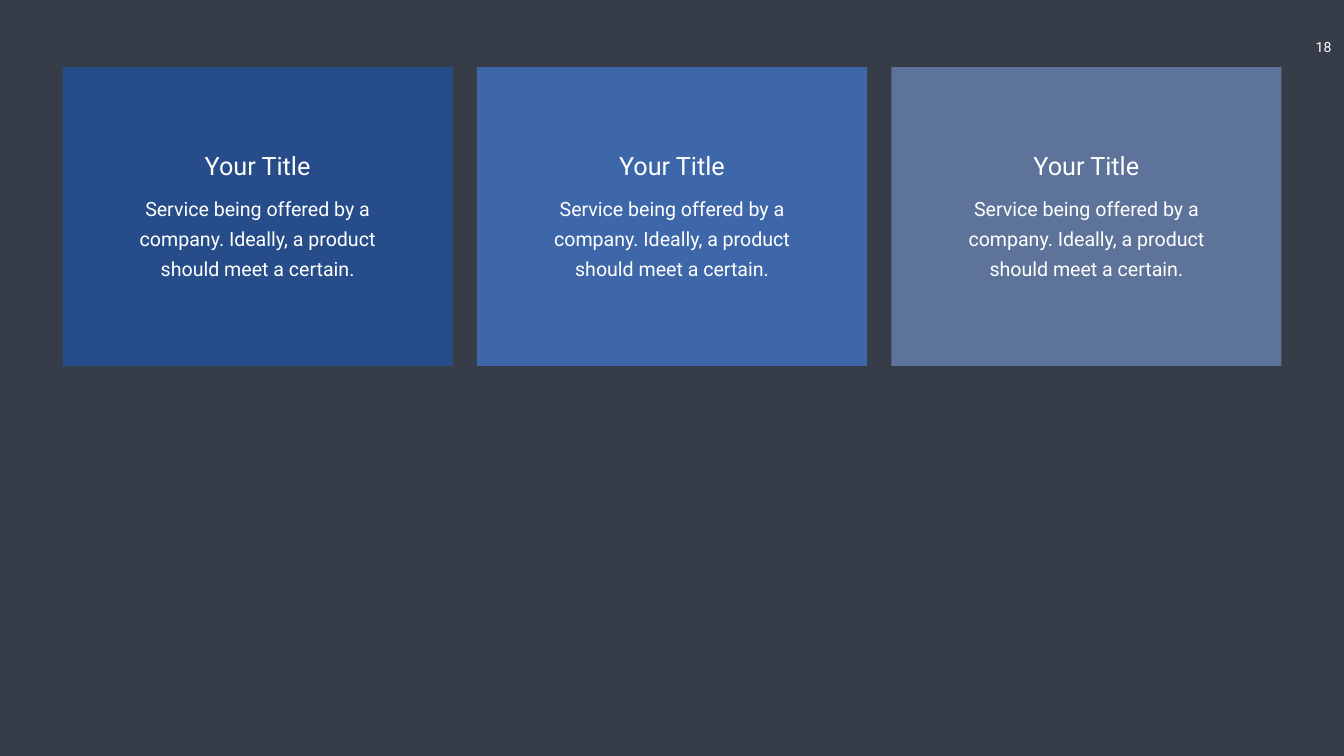
from pptx import Presentation
from pptx.dml.color import RGBColor
from pptx.enum import shapes, text
from pptx.util import Inches, Pt

FONT = "Roboto"
WHITE = "FFFFFF"
CARD_COLORS = ["264D89", "3E67AA", "5D739A"]
CARD_W, CARD_H, CARD_GAP = 7.74, 5.93, 0.48
TITLE = "Your Title"
BODY = "Service being offered by a company. Ideally, a product should meet a certain."


def set_fill(fill, color):
    fill.solid()
    fill.fore_color.rgb = RGBColor.from_string(color)


def add_text(s, x, y, w, h, content, size, inset, wrap=True, spacing=None):
    tf = s.shapes.add_textbox(Inches(x), Inches(y), Inches(w), Inches(h)).text_frame
    tf.word_wrap = wrap
    tf.margin_left = tf.margin_right = Inches(inset)
    tf.margin_top = tf.margin_bottom = Inches(inset / 2)
    p = tf.paragraphs[0]
    p.alignment = text.PP_ALIGN.CENTER
    if spacing:
        p.line_spacing = Pt(spacing)
    r = p.add_run()
    r.text = content
    r.font.name = FONT
    r.font.size = Pt(size)
    r.font.color.rgb = RGBColor.from_string(WHITE)


def add_card(s, x, y, w, h, color):
    sp = s.shapes.add_shape(
        shapes.MSO_SHAPE.RECTANGLE, Inches(x), Inches(y), Inches(w), Inches(h)
    )
    sp.shadow.inherit = False
    sp.line.fill.background()
    set_fill(sp.fill, color)
    body_w, title_w = 6.2, 5.41
    add_text(s, x + (w - body_w) / 2, y + 2.32, body_w, 2, BODY, 28, 0.24, spacing=43)
    add_text(s, x + (w - title_w) / 2, y + 1.61, title_w, 0.71, TITLE, 36, 0.1)


def add_page_number(s, x, y, w, h, number):
    add_text(s, x, y, w, h, number, 20, 0.2, wrap=False)


def main():
    prs = Presentation()
    prs.slide_width, prs.slide_height = Inches(26.66), Inches(15)
    s = prs.slides.add_slide(prs.slide_layouts[6])
    set_fill(s.background.fill, "363D48")
    add_page_number(s, 25.8, 0.67, 0.91, 0.54, "18")
    for i, color in enumerate(CARD_COLORS):
        add_card(s, 1.24 + i * (CARD_W + CARD_GAP), 1.33, CARD_W, CARD_H, color)
    prs.save("out.pptx")


if __name__ == "__main__":
    main()
